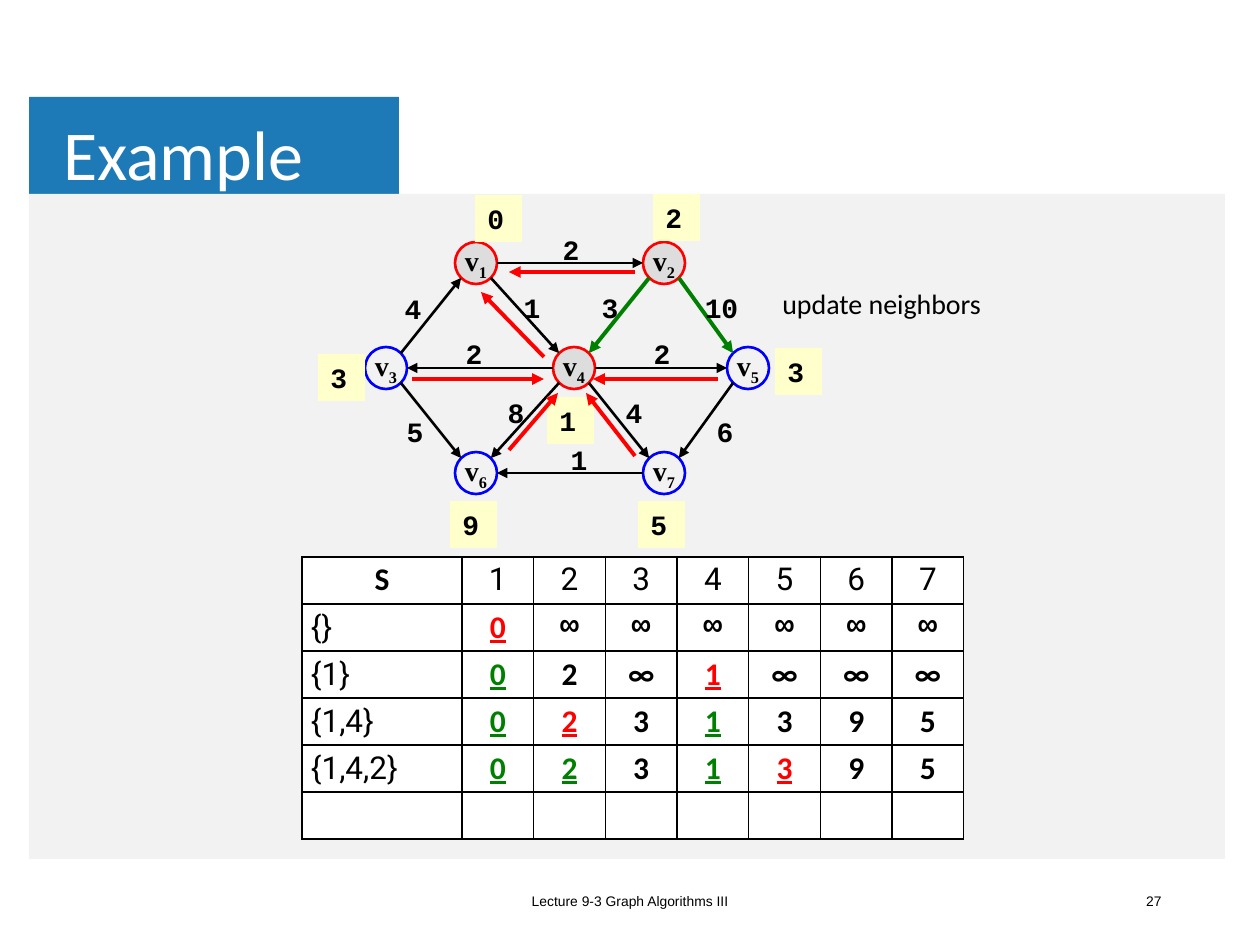
"""Build the slide that traces shortest paths through a seven-node graph."""
from math import sqrt

from lxml import etree
from pptx import Presentation
from pptx import util as u
from pptx.dml import color
from pptx.enum import shapes, text
from pptx.oxml import ns

SCALE = 914400 / 126
BLACK, WHITE, RED, GREEN, BLUE = "000000", "FFFFFF", "FF0000", "008000", "0000FF"
CENTER, LEFT, RIGHT = text.PP_ALIGN.CENTER, text.PP_ALIGN.LEFT, text.PP_ALIGN.RIGHT
MIDDLE, TOP = text.MSO_ANCHOR.MIDDLE, text.MSO_ANCHOR.TOP
DIAMETER = 42

NODES = {1: (476, 263), 2: (664, 263), 3: (386, 368), 4: (574, 368),
         5: (748, 368), 6: (476, 473), 7: (664, 473)}
VISITED = {1, 2, 4}
EDGES = [(7, 6), (4, 3), (1, 2), (4, 5), (2, 5), (5, 7),
         (1, 4), (2, 4), (3, 1), (3, 6), (4, 7), (4, 6)]
UPDATED = {(2, 5), (2, 4)}
WEIGHTS = [("4", 391, 285), ("1", 510, 284), ("2", 549, 226), ("10", 692, 284),
           ("3", 588, 284), ("6", 703, 408), ("4", 612, 389), ("2", 640, 330),
           ("2", 452, 330), ("8", 494, 389), ("5", 393, 408), ("1", 557, 436)]
DISTANCES = [("0", 475, 195), ("2", 653, 194), ("3", 318, 354), ("3", 775, 348),
             ("1", 547, 397), ("9", 450, 501), ("5", 638, 501)]
BACKLINKS = [((718, 379), (593, 379)), ((635, 456), (586, 393)),
             ((509, 450), (558, 393)), ((412, 379), (544, 379)),
             ((544, 357), (481, 292)), ((635, 272), (509, 272))]
STEPS = [([], 1, "0∞∞∞∞∞∞"), ([1], 4, "02∞1∞∞∞"),
         ([1, 4], 2, "0231395"), ([1, 4, 2], 5, "0231395")]


def px(length):
    return u.Emu(round(length * SCALE))


def rgb(value):
    return color.RGBColor.from_string(value)


def child(parent, tag, **attributes):
    return etree.SubElement(parent, ns.qn(tag), attributes)


class Deck:
    """Hold the style and the current slide."""

    def __init__(self):
        self.show = Presentation()
        self.show.slide_width, self.show.slide_height = px(1260), px(945)
        self.slide = self.show.slides.add_slide(self.show.slide_layouts[5])
        self.items = self.slide.shapes

    def wording(self, paragraph, words, size, face, ink=BLACK, bold=False,
                align=LEFT, underline=False):
        paragraph.alignment = align
        run = paragraph.add_run()
        run.text = words
        font = run.font
        font.size, font.name, font.bold = u.Pt(size), face, bold
        font.underline = underline
        font.color.rgb = rgb(ink)
        return run

    def title(self, words, *box):
        heading = self.items.title
        heading.left, heading.top, heading.width, heading.height = map(px, box)
        heading.element.getparent().append(heading.element)
        frame = heading.text_frame
        frame.auto_size = text.MSO_AUTO_SIZE.NONE
        frame.vertical_anchor = MIDDLE
        frame.margin_left = frame.margin_right = px(9)
        frame.margin_top = frame.margin_bottom = px(5)
        frame.paragraphs[0].line_spacing = 0.9
        self.wording(frame.paragraphs[0], words, 40, "Calibri", WHITE)

    def shape(self, kind, box, fill=None, line=None):
        item = self.items.add_shape(kind, *map(px, box))
        item.shadow.inherit = False
        if fill:
            item.fill.solid()
            item.fill.fore_color.rgb = rgb(fill)
        else:
            item.fill.background()
        if line:
            item.line.color.rgb = rgb(line)
            item.line.width = u.Pt(1.5)
        else:
            item.line.fill.background()
        return item

    def panel(self, fill, *box):
        return self.shape(shapes.MSO_SHAPE.RECTANGLE, box, fill)

    def label(self, words, box, size, face, anchor=MIDDLE, **style):
        frame = self.items.add_textbox(*map(px, box)).text_frame
        frame.word_wrap = True
        frame.vertical_anchor = anchor
        self.wording(frame.paragraphs[0], words, size, face, **style)

    def distance(self, words, left, top):
        frame = self.panel("FFFFCC", left, top, 47, 47).text_frame
        frame.vertical_anchor = TOP
        self.wording(frame.paragraphs[0], words, 16, "Courier New", bold=True)

    def node(self, number):
        x, y = NODES[number]
        box = (x - DIAMETER / 2, y - DIAMETER / 2, DIAMETER, DIAMETER)
        fill, line = ("DDDDDD", RED) if number in VISITED else (None, BLUE)
        frame = self.shape(shapes.MSO_SHAPE.OVAL, box, fill, line).text_frame
        frame.word_wrap = False
        frame.vertical_anchor = MIDDLE
        for words in ("v", str(number)):
            run = self.wording(frame.paragraphs[0], words, 16, "Times New Roman",
                               bold=True, align=CENTER)
        run._r.get_or_add_rPr().set("baseline", "-25000")

    def arrow(self, start, end, ink, width):
        line = self.items.add_connector(shapes.MSO_CONNECTOR.STRAIGHT,
                                        *map(px, (*start, *end)))
        line.line.color.rgb = rgb(ink)
        line.line.width = u.Pt(width)
        child(line.line._get_or_add_ln(), "a:tailEnd", type="triangle")
        child(line.element.spPr, "a:effectLst")

    def edge(self, source, target):
        """Join two nodes at the compass points that face each other."""
        (x1, y1), (x2, y2) = NODES[source], NODES[target]
        dx, dy = (x2 > x1) - (x2 < x1), (y2 > y1) - (y2 < y1)
        reach = DIAMETER / 2 / sqrt(dx * dx + dy * dy)
        ink, width = (GREEN, 2.25) if (source, target) in UPDATED else (BLACK, 1.5)
        self.arrow((x1 + dx * reach, y1 + dy * reach),
                   (x2 - dx * reach, y2 - dy * reach), ink, width)

    def cell(self, cell, words="", face="Calibri", anchor=MIDDLE, **style):
        cell.margin_left = cell.margin_right = px(9)
        cell.margin_top = cell.margin_bottom = px(4)
        cell.vertical_anchor = anchor
        for side in "LRTB":
            border = child(cell._tc.get_or_add_tcPr(), f"a:ln{side}", w="12700")
            child(child(border, "a:solidFill"), "a:srgbClr", val=BLACK)
        cell.fill.solid()
        cell.fill.fore_color.rgb = rgb(WHITE)
        paragraph = cell.text_frame.paragraphs[0]
        if words:
            self.wording(paragraph, words, 18, face, **style)
        else:
            paragraph.font.size = u.Pt(18)

    def trace(self, left, top, first, rest, row):
        """Tabulate each step: settled nodes in green, the next one in red."""
        count = len(NODES)
        table = self.items.add_table(len(STEPS) + 2, count + 1, px(left), px(top),
                                     px(first + rest), px(row * (len(STEPS) + 2))).table
        table.first_row = table.horz_banding = False
        for column in table.columns:
            column.width = px(rest / count)
        table.columns[0].width = px(first)
        for line in table.rows:
            line.height = px(row)
        self.cell(table.cell(0, 0), "S", anchor=TOP, bold=True, align=CENTER)
        for number in NODES:
            self.cell(table.cell(0, number), str(number), "Roboto", TOP, align=CENTER)
        for at, (settled, chosen, costs) in enumerate(STEPS, 1):
            self.cell(table.cell(at, 0), "{" + ",".join(map(str, settled)) + "}", "Roboto")
            for number, cost in enumerate(costs, 1):
                ink = GREEN if number in settled else RED if number == chosen else BLACK
                face = "Courier New" if at == 1 and cost == "∞" else "Calibri"
                self.cell(table.cell(at, number), cost, face, ink=ink, bold=True,
                          align=CENTER, underline=ink != BLACK)
        for column in range(count + 1):
            self.cell(table.cell(len(STEPS) + 1, column))


def main():
    deck = Deck()
    deck.panel("1E7AB6", 29, 97, 370, 210)
    deck.panel("F2F2F2", 29, 194, 1196, 665)
    deck.title("Example", 54, 96, 1012, 123)
    deck.label("Lecture 9-3 Graph Algorithms III", (417, 876, 426, 50), 7.9, "Arial",
               align=CENTER)
    deck.label("27", (891, 876, 283, 50), 7.9, "Arial", align=RIGHT)
    for number in NODES:
        deck.node(number)
    for source, target in EDGES:
        deck.edge(source, target)
    for weight, left, top in WEIGHTS:
        deck.label(weight, (left, top, 29 + 15 * len(weight), 47), 16, "Courier New",
                   bold=True, align=CENTER)
    for cost, left, top in DISTANCES:
        deck.distance(cost, left, top)
    for start, end in BACKLINKS:
        deck.arrow(start, end, RED, 2.25)
    deck.label("update neighbors", (770, 280, 263, 47), 16, "Calibri", TOP)
    deck.trace(302, 557, 160, 502, 47)
    deck.show.save("out.pptx")


if __name__ == "__main__":
    main()
